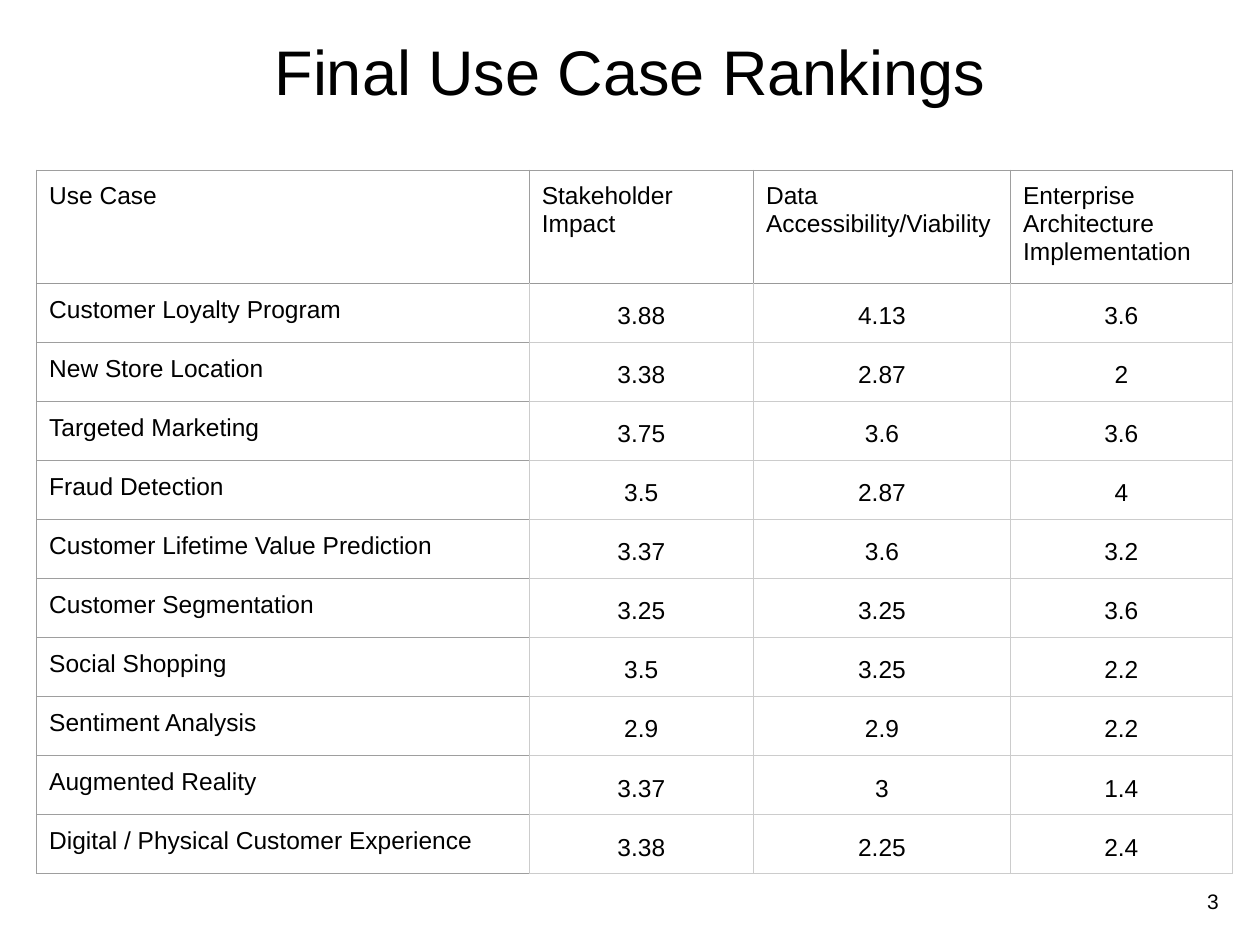
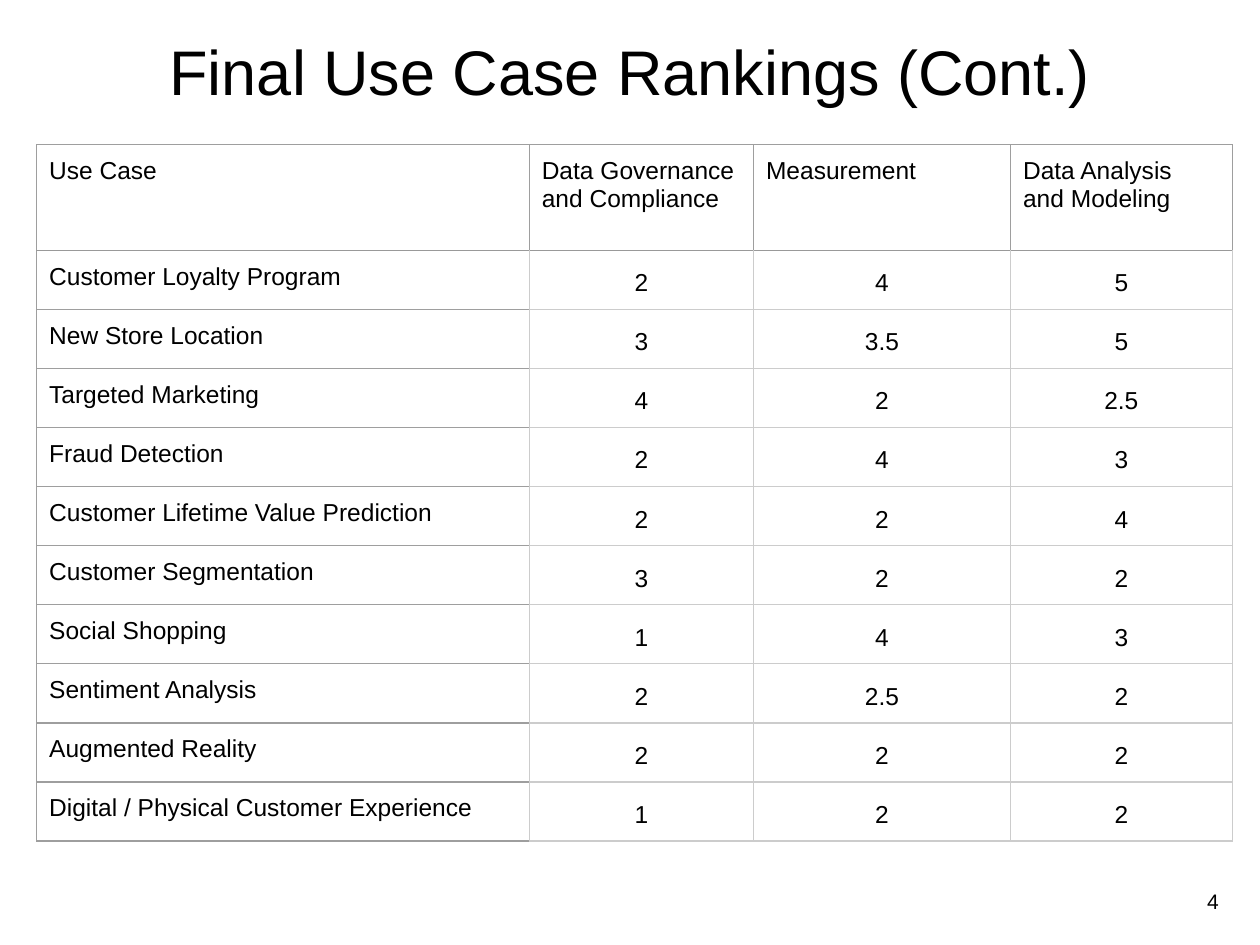
from typing import NamedTuple

import pptx
import pptx.dml.color
import pptx.enum.text
import pptx.oxml
import pptx.oxml.ns
import pptx.presentation
import pptx.slide
import pptx.table
import pptx.text.text
import pptx.util

Inches = pptx.util.Inches
Pt = pptx.util.Pt
Align = pptx.enum.text.PP_ALIGN
Anchor = pptx.enum.text.MSO_ANCHOR

FONT = "Arial"
BLACK = "000000"
WHITE = "FFFFFF"
OUTER_GREY = "9E9E9E"
HEADER_GREY = "999999"
SCORE_GREY = "CCCCCC"

TABLE_LEFT = 0.29
COLUMN_WIDTHS = (3.91, 1.78, 2.04, 1.76)
HEADER_HEIGHT = 0.84
ROW_HEIGHT = 0.45

USE_CASES = (
    "Customer Loyalty Program",
    "New Store Location",
    "Targeted Marketing",
    "Fraud Detection",
    "Customer Lifetime Value Prediction",
    "Customer Segmentation",
    "Social Shopping",
    "Sentiment Analysis",
    "Augmented Reality",
    "Digital / Physical Customer Experience",
)


class TextStyle(NamedTuple):
    size: float
    align: Align
    anchor: Anchor
    line_spacing: float | None = None


class TextArea(NamedTuple):
    left: float
    top: float
    width: float
    height: float
    style: TextStyle


class Borders(NamedTuple):
    left: str
    right: str
    top: str
    bottom: str


class CellStyle(NamedTuple):
    text: TextStyle
    side_margin: float
    borders: Borders


class Ranking(NamedTuple):
    title: str
    number: int
    table_top: float
    criteria: tuple[str, ...]
    scores: tuple[tuple[str, ...], ...]


TITLE = TextArea(0.75, -0.25, 8.5, 1.61, TextStyle(36, Align.CENTER, Anchor.MIDDLE))
SLIDE_NUMBER = TextArea(9.12, 6.95, 0.65, 0.4, TextStyle(12, Align.RIGHT, Anchor.MIDDLE))

LABEL_TEXT = TextStyle(14, Align.LEFT, Anchor.TOP)
SCORE_TEXT = TextStyle(14, Align.CENTER, Anchor.BOTTOM, 1.15)
HEADER_CELL = CellStyle(LABEL_TEXT, 0.1, Borders(OUTER_GREY, OUTER_GREY, OUTER_GREY, HEADER_GREY))
USE_CASE_CELL = CellStyle(LABEL_TEXT, 0.1, Borders(OUTER_GREY, SCORE_GREY, OUTER_GREY, OUTER_GREY))
SCORE_CELL = CellStyle(SCORE_TEXT, 0.03, Borders(SCORE_GREY, SCORE_GREY, SCORE_GREY, SCORE_GREY))

RANKINGS = (
    Ranking(
        "Final Use Case Rankings", 3, 1.35,
        ("Stakeholder Impact", "Data Accessibility/Viability",
         "Enterprise Architecture Implementation"),
        (("3.88", "4.13", "3.6"), ("3.38", "2.87", "2"), ("3.75", "3.6", "3.6"),
         ("3.5", "2.87", "4"), ("3.37", "3.6", "3.2"), ("3.25", "3.25", "3.6"),
         ("3.5", "3.25", "2.2"), ("2.9", "2.9", "2.2"), ("3.37", "3", "1.4"),
         ("3.38", "2.25", "2.4")),
    ),
    Ranking(
        "Final Use Case Rankings (Cont.)", 4, 1.15,
        ("Data Governance and Compliance", "Measurement", "Data Analysis and Modeling"),
        (("2", "4", "5"), ("3", "3.5", "5"), ("4", "2", "2.5"), ("2", "4", "3"),
         ("2", "2", "4"), ("3", "2", "2"), ("1", "4", "3"), ("2", "2.5", "2"),
         ("2", "2", "2"), ("1", "2", "2")),
    ),
)


def color(value: str) -> pptx.dml.color.RGBColor:
    return pptx.dml.color.RGBColor.from_string(value)


def write_text(text_frame: pptx.text.text.TextFrame, text: str, style: TextStyle) -> None:
    text_frame.text = text
    text_frame.word_wrap = True
    paragraph = text_frame.paragraphs[0]
    paragraph.alignment = style.align
    if style.line_spacing:
        paragraph.line_spacing = style.line_spacing
    for run in paragraph.runs:
        run.font.name = FONT
        run.font.size = Pt(style.size)
        run.font.color.rgb = color(BLACK)


def add_text(slide: pptx.slide.Slide, area: TextArea, text: str) -> None:
    shape = slide.shapes.add_textbox(
        Inches(area.left), Inches(area.top), Inches(area.width), Inches(area.height)
    )
    write_text(shape.text_frame, text, area.style)
    shape.text_frame.vertical_anchor = area.style.anchor


def set_borders(cell: pptx.table._Cell, borders: Borders) -> None:
    properties = cell._tc.get_or_add_tcPr()
    for side, border_color in zip("LRTB", borders):
        properties.append(pptx.oxml.parse_xml(
            f'<a:ln{side} {pptx.oxml.ns.nsdecls("a")} w="{Pt(0.75)}">'
            f'<a:solidFill><a:srgbClr val="{border_color}"/></a:solidFill></a:ln{side}>'
        ))


def fill_cell(cell: pptx.table._Cell, text: str, style: CellStyle) -> None:
    write_text(cell.text_frame, text, style.text)
    cell.vertical_anchor = style.text.anchor
    cell.margin_left = cell.margin_right = Inches(style.side_margin)
    cell.margin_top = cell.margin_bottom = Inches(0.1)
    set_borders(cell, style.borders)
    cell.fill.background()


def cell_style(row: int, column: int) -> CellStyle:
    if row == 0:
        return HEADER_CELL
    style = SCORE_CELL if column else USE_CASE_CELL
    if row == 1:
        return style._replace(borders=style.borders._replace(top=HEADER_GREY))
    return style


def add_ranking_table(slide: pptx.slide.Slide, ranking: Ranking) -> None:
    rows = [("Use Case", *ranking.criteria)]
    rows += [(name, *scores) for name, scores in zip(USE_CASES, ranking.scores)]
    heights = [HEADER_HEIGHT] + [ROW_HEIGHT] * len(USE_CASES)
    table = slide.shapes.add_table(
        len(rows), len(COLUMN_WIDTHS), Inches(TABLE_LEFT), Inches(ranking.table_top),
        Inches(sum(COLUMN_WIDTHS)), Inches(sum(heights)),
    ).table
    table.first_row = False
    table.horz_banding = False
    for column, width in zip(table.columns, COLUMN_WIDTHS):
        column.width = Inches(width)
    for row_index, (texts, height) in enumerate(zip(rows, heights)):
        table.rows[row_index].height = Inches(height)
        for column_index, text in enumerate(texts):
            fill_cell(table.cell(row_index, column_index), text,
                      cell_style(row_index, column_index))


def add_ranking_slide(presentation: pptx.presentation.Presentation, ranking: Ranking) -> None:
    slide = presentation.slides.add_slide(presentation.slide_layouts[6])
    slide.background.fill.solid()
    slide.background.fill.fore_color.rgb = color(WHITE)
    add_text(slide, TITLE, ranking.title)
    add_text(slide, SLIDE_NUMBER, str(ranking.number))
    add_ranking_table(slide, ranking)


def main() -> None:
    presentation = pptx.Presentation()
    presentation.slide_width = Inches(10)
    presentation.slide_height = Inches(7.5)
    for ranking in RANKINGS:
        add_ranking_slide(presentation, ranking)
    presentation.save("out.pptx")


if __name__ == "__main__":
    main()
